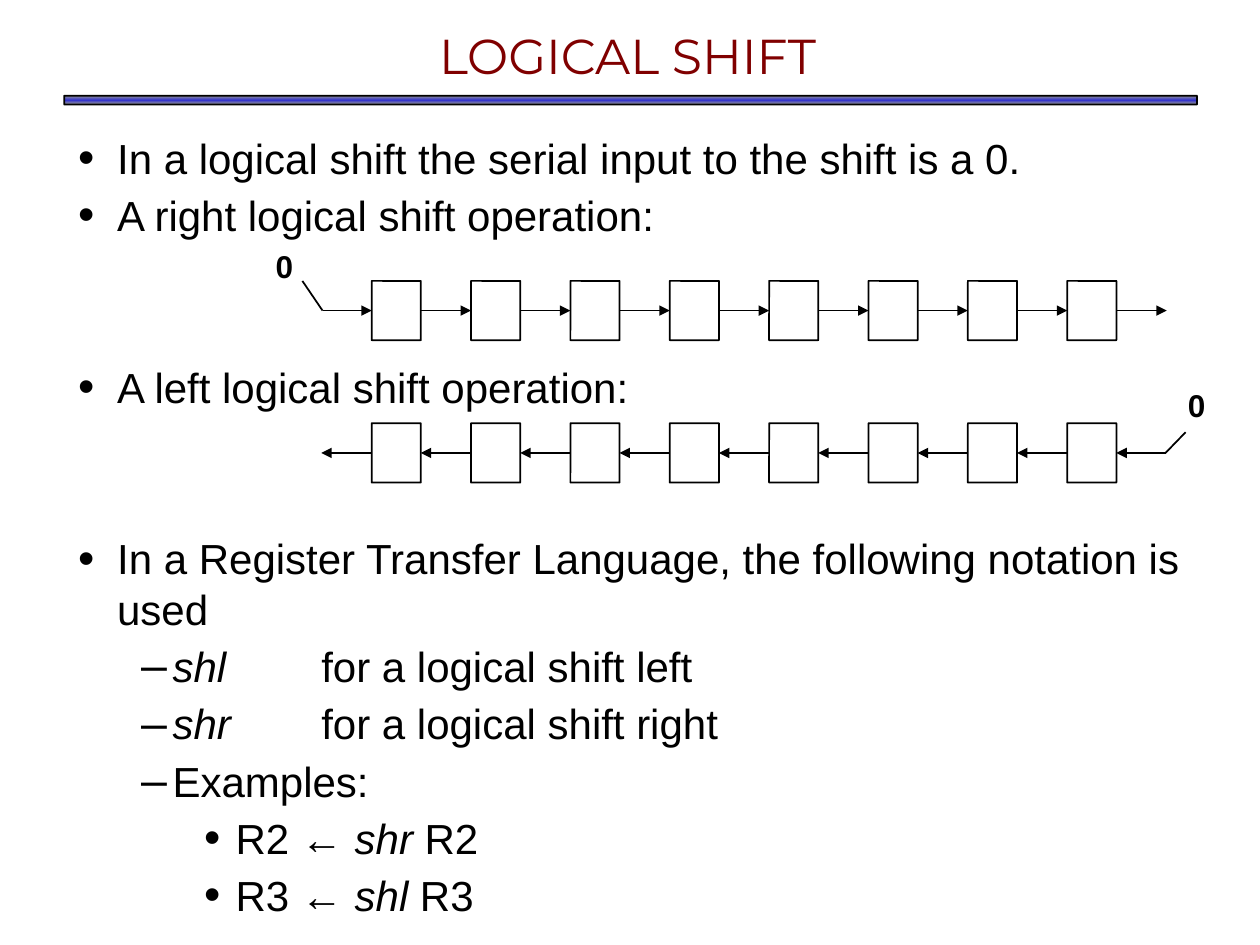
from lxml import etree
from pptx import Presentation
from pptx.dml.color import RGBColor
from pptx.enum.shapes import MSO_CONNECTOR, MSO_SHAPE
from pptx.enum.text import MSO_ANCHOR, MSO_AUTO_SIZE, PP_ALIGN
from pptx.oxml import parse_xml
from pptx.oxml.ns import nsdecls, qn
from pptx.util import Inches, Pt

# Content: level, runs as (text, italic), number of line heights left free above
TITLE = "LOGICAL SHIFT"
POINTS = [
    (0, [("In a logical shift the serial input to the shift is a 0.", False)], 0),
    (0, [("A right logical shift operation:", False)], 0),
    (0, [("A left logical shift operation:", False)], 2),
    (0, [("In a Register Transfer Language, the following notation is used", False)], 2),
    (1, [("shl", True), ("\tfor a logical shift left", False)], 0),
    (1, [("shr", True), ("\tfor a logical shift right", False)], 0),
    (1, [("Examples:", False)], 0),
    (2, [("R2 ← ", False), ("shr", True), (" R2", False)], 0),
    (2, [("R3 ← ", False), ("shl", True), (" R3", False)], 0),
]
LEVELS = [(0.31, -0.31, "•"), (0.75, -0.25, "–"), (1.25, -0.25, "•")]  # margin, indent, bullet
NOTATION_TAB = 1.93
LINE_HEIGHT, POINT_GAP = 28.8, 3.9

# Shift registers: top of the cells, serial input bend and start, output end, "0" label
REGISTERS = [
    dict(right=True, top=2.23, bend=2.56, source=(2.4, 2.23), output=9.26, zero=(2.09, 1.94)),
    dict(right=False, top=3.36, bend=9.25, source=(9.41, 3.43), output=2.55, zero=(9.33, 3.04)),
]
CELLS, FIRST_CELL, LAST_CELL = 8, 2.95, 8.47
CELL_WIDTH, CELL_HEIGHT = 0.39, 0.47
BLACK, MAROON, GREY, BLUE = "000000", "800000", "969696", "3333CC"
TITLE_FONT = dict(name="Montserrat", size=Pt(28))
BODY_FONT = dict(name="Arial", size=Pt(24))
ZERO_FONT = dict(name="Arial", size=Pt(18), bold=True)


def color(target, hex_value):
    target.rgb = RGBColor.from_string(hex_value)


def apply(target, values):
    for name, value in values.items():
        setattr(target, name, value)


def add_run(paragraph, text, font, hex_value, **extra):
    run = paragraph.add_run()
    run.text = text
    apply(run.font, {**font, **extra})
    color(run.font.color, hex_value)


def place(placeholder, left, top, width, height, inset_x, inset_y):
    apply(placeholder, dict(left=Inches(left), top=Inches(top),
                            width=Inches(width), height=Inches(height)))
    frame = placeholder.text_frame
    apply(frame, dict(margin_left=Inches(inset_x), margin_right=Inches(inset_x),
                      margin_top=Inches(inset_y), margin_bottom=Inches(inset_y),
                      vertical_anchor=MSO_ANCHOR.TOP, word_wrap=True,
                      auto_size=MSO_AUTO_SIZE.NONE))
    return frame


def add_bullet(paragraph, level):
    margin, indent, bullet = LEVELS[level]
    properties = paragraph._p.get_or_add_pPr()
    properties.set("marL", str(Inches(margin)))
    properties.set("indent", str(Inches(indent)))
    bullet_color = etree.SubElement(properties, qn("a:buClr"))
    etree.SubElement(bullet_color, qn("a:srgbClr"), val=BLACK)
    etree.SubElement(properties, qn("a:buSzPct"), val="111000")
    etree.SubElement(properties, qn("a:buChar"), char=bullet)
    tabs = etree.SubElement(properties, qn("a:tabLst"))
    etree.SubElement(tabs, qn("a:tab"), pos=str(Inches(NOTATION_TAB)), algn="l")


def outline(shape):
    color(shape.line.color, BLACK)
    shape.line.width = Pt(1)


def add_bar(shapes, left, top, width, height, rounding):
    bar = shapes.add_shape(MSO_SHAPE.ROUNDED_RECTANGLE, Inches(left), Inches(top),
                           Inches(width), Inches(height))
    bar.adjustments[0] = rounding
    bar.shadow.inherit = False
    bar.fill.background()
    outline(bar)
    return bar


def add_wire(shapes, start, end, arrow=True):
    wire = shapes.add_connector(MSO_CONNECTOR.STRAIGHT, *start, *end)
    outline(wire)
    if arrow:
        etree.SubElement(wire.line._get_or_add_ln(), qn("a:tailEnd"), type="triangle")
    etree.SubElement(wire._element.spPr, qn("a:effectLst"))
    return wire


def add_register(slide, right, top, bend, source, output, zero):
    shapes = slide.shapes.add_group_shape().shapes
    step = (LAST_CELL - FIRST_CELL) / (CELLS - 1)
    cells = [add_bar(shapes, FIRST_CELL + i * step, top, CELL_WIDTH, CELL_HEIGHT, 0.004)
             for i in range(CELLS)]
    if not right:
        cells.reverse()
    entry, leave = (1, 3) if right else (3, 1)
    middle = Inches(top) + Inches(CELL_HEIGHT) // 2
    serial_in, serial_out = (Inches(bend), middle), (Inches(output), middle)

    # Wires run from each cell to the next in the direction of the shift
    for giver, taker in zip([None] + cells, cells + [None]):
        wire = add_wire(shapes, serial_in, serial_out)
        if giver is not None:
            wire.begin_connect(giver, leave)
        if taker is not None:
            wire.end_connect(taker, entry)
    add_wire(shapes, serial_in, [Inches(v) for v in source], arrow=False)

    # Serial input value
    label = shapes.add_textbox(*[Inches(v) for v in zero], Inches(0.34), Inches(0.38))
    apply(label.text_frame, dict(word_wrap=False, auto_size=MSO_AUTO_SIZE.SHAPE_TO_FIT_TEXT))
    paragraph = label.text_frame.paragraphs[0]
    paragraph.line_spacing = 0.93
    add_run(paragraph, "0", ZERO_FONT, BLACK)


def main():
    deck = Presentation()
    apply(deck, dict(slide_width=Inches(10), slide_height=Inches(7.5)))
    slide = deck.slides.add_slide(deck.slide_layouts[1])

    # Title and the rule under it
    heading = place(slide.shapes.title, 0.49, 0.17, 8.98, 0.37, 0.07, 0.03).paragraphs[0]
    heading.alignment = PP_ALIGN.CENTER
    add_run(heading, TITLE, TITLE_FONT, MAROON)
    rule = add_bar(slide.shapes, 0.51, 0.76, 8.99, 0.07, 0.025)
    stops = "".join(f'<a:gs pos="{position}"><a:srgbClr val="{shade}"/></a:gs>'
                    for position, shade in [(0, GREY), (50000, BLUE), (100000, GREY)])
    properties = rule._element.spPr
    properties.replace(properties.find(qn("a:noFill")), parse_xml(
        f'<a:gradFill {nsdecls("a")}><a:gsLst>{stops}</a:gsLst>'
        '<a:lin ang="16200000" scaled="0"/></a:gradFill>'))

    # Bulleted points
    body = place(slide.placeholders[1], 0.52, 1, 8.97, 6.21, 0.1, 0.05)
    for index, (level, runs, free_lines) in enumerate(POINTS):
        point = body.add_paragraph() if index else body.paragraphs[0]
        gap = POINT_GAP + free_lines * (LINE_HEIGHT + POINT_GAP)
        apply(point, dict(level=level, line_spacing=Pt(LINE_HEIGHT), space_before=Pt(gap)))
        add_bullet(point, level)
        for text, italic in runs:
            add_run(point, text, BODY_FONT, BLACK, italic=italic)

    # Shift diagrams
    for register in REGISTERS:
        add_register(slide, **register)
    deck.save("out.pptx")


if __name__ == "__main__":
    main()
